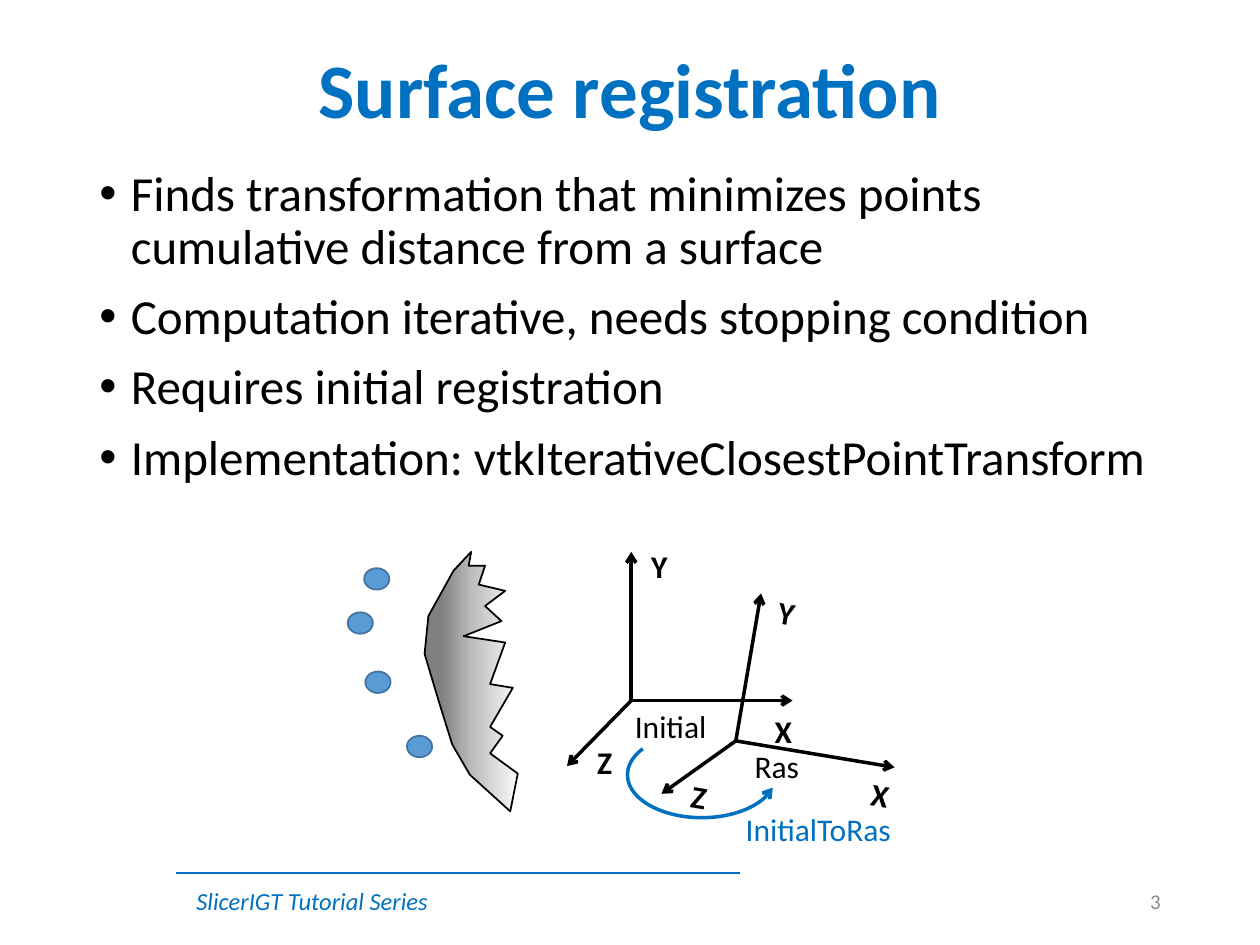
from copy import deepcopy

from pptx import Presentation
from pptx.dml.color import RGBColor
from pptx.enum.shapes import MSO_CONNECTOR as Connector, MSO_SHAPE as Shape
from pptx.enum.text import MSO_ANCHOR as Anchor, PP_ALIGN as Align
from pptx.oxml.ns import qn
from pptx.oxml.xmlchemy import OxmlElement
from pptx.util import Inches, Pt

BLUE = "0070C0"
BLACK = "000000"
BULLETS = [
    "Finds transformation that minimizes points cumulative distance from a surface",
    "Computation iterative, needs stopping condition",
    "Requires initial registration",
    "Implementation: vtkIterativeClosestPointTransform",
]
POINTS = [(2.89, 4.51), (2.76, 4.86), (2.9, 5.33), (3.23, 5.84)]
SURFACE = [
    (3.6, 4.53), (3.4, 4.89), (3.37, 5.19), (3.49, 5.59), (3.59, 5.91),
    (3.73, 6.15), (4.05, 6.44), (4.11, 6.14), (3.89, 5.98), (3.99, 5.84),
    (3.89, 5.77), (4.07, 5.46), (3.89, 5.43), (4.01, 5.1), (3.68, 5.05),
    (3.98, 4.93), (3.85, 4.81), (4.01, 4.69), (3.8, 4.64), (3.85, 4.49),
    (3.72, 4.49), (3.74, 4.38),
]
SURFACE_STOPS = [(0, "F7FAFD"), (0.47, "BFBFBF"), (0.83, "808080"), (1, "808080")]
LABEL_WIDTHS = {"X": 0.34, "Y": 0.33, "Z": 0.32}
INITIAL_AXES = {
    "X": ((6.29, 5.56), (6.05, 5.6)),
    "Y": ((5.01, 4.38), (5.07, 4.29)),
    "Z": ((4.5, 6.08), (4.64, 5.85)),
}
RAS_AXES = {
    "X": ((7.1, 6.09), (6.82, 6.11)),
    "Y": ((6.04, 4.71), (6.08, 4.66)),
    "Z": ((5.25, 6.3), (5.39, 6.12)),
}


def color(value):
    return RGBColor.from_string(value)


def apply(target, values):
    for name, value in values.items():
        setattr(target, name, value)


def set_line(line, value, width):
    line.color.rgb = color(value)
    line.width = Pt(width)


def add_arrowhead(shape, end):
    arrow = OxmlElement(f"a:{end}")
    arrow.set("type", "arrow")
    shape.line._get_or_add_ln().append(arrow)


def add_bullet(para):
    properties = para._p.get_or_add_pPr()
    properties.set("marL", str(Inches(0.25)))
    properties.set("indent", str(Inches(-0.25)))
    for tag, name, value in [("a:buFont", "typeface", "Arial"), ("a:buChar", "char", "•")]:
        element = OxmlElement(tag)
        element.set(name, value)
        properties.append(element)


def add_text(page, at, lines, size, value=BLACK, wrap=False, anchor=Anchor.TOP,
             bullets=False, gap=0, para_format=None, **font_format):
    box = page.shapes.add_textbox(*map(Inches, at))
    frame = box.text_frame
    apply(frame, {"word_wrap": wrap, "vertical_anchor": anchor})
    for index, line in enumerate(lines):
        para = frame.add_paragraph() if index else frame.paragraphs[0]
        para.add_run().text = line
        if bullets:
            add_bullet(para)
        apply(para, para_format or {})
        if index and gap:
            para.space_before = Pt(gap)
        apply(para.runs[0].font, {"name": "Calibri", "size": Pt(size), **font_format})
        para.runs[0].font.color.rgb = color(value)
    return box


def add_line(page, start, end, value, width):
    line = page.shapes.add_connector(Connector.STRAIGHT, *map(Inches, start + end))
    set_line(line.line, value, width)
    line._element.spPr.append(OxmlElement("a:effectLst"))
    return line


def add_axes(page, origin, axes, rotation=0):
    for name, (tip, label_at) in axes.items():
        add_arrowhead(add_line(page, origin, tip, BLACK, 2), "tailEnd")
        label = add_text(page, (*label_at, LABEL_WIDTHS[name], 0.4), [name], 18, bold=True)
        label.rotation = rotation


def add_point(page, left, top):
    point = page.shapes.add_shape(Shape.OVAL, *map(Inches, (left, top, 0.2, 0.17)))
    point.shadow.inherit = False
    point.fill.solid()
    point.fill.fore_color.rgb = color("5B9BD5")
    set_line(point.line, "43739E", 1)


def add_transform_arc(page):
    arc = page.shapes.add_shape(Shape.ARC, *map(Inches, (4.98, 5.81, 1.18, 0.68)))
    arc.shadow.inherit = False
    arc.adjustments[0] = 6.08
    arc.adjustments[1] = 122.31
    arc.fill.background()
    set_line(arc.line, BLUE, 2)
    add_arrowhead(arc, "headEnd")


def add_surface(page):
    corners = [(Inches(x), Inches(y)) for x, y in SURFACE]
    builder = page.shapes.build_freeform(*corners[0])
    builder.add_line_segments(corners[1:], close=True)
    surface = builder.convert_to_shape()
    surface.shadow.inherit = False
    surface.fill.gradient()
    surface.fill.gradient_angle = 180
    stop_list = surface._element.spPr.find(f".//{qn('a:gsLst')}")
    while len(stop_list) < len(SURFACE_STOPS):
        stop_list.append(deepcopy(stop_list[0]))
    for stop, (position, value) in zip(surface.fill.gradient_stops, SURFACE_STOPS):
        stop.position = position
        stop.color.rgb = color(value)
    set_line(surface.line, BLACK, 1)


def main():
    deck = Presentation()
    apply(deck, {"slide_width": Inches(10), "slide_height": Inches(7.5)})
    page = deck.slides.add_slide(deck.slide_layouts[6])

    add_line(page, (1.4, 6.93), (5.87, 6.93), BLUE, 1.25)
    add_text(page, (1.46, 6.98, 2.06, 0.34), ["SlicerIGT Tutorial Series"], 14, BLUE,
             italic=True)
    add_text(page, (0.69, 0.4, 8.62, 0.69), ["Surface registration"], 44, BLUE, wrap=True,
             anchor=Anchor.MIDDLE, bold=True,
             para_format={"alignment": Align.CENTER, "line_spacing": 0.9})
    add_text(page, (0.69, 1.29, 8.62, 3.07), BULLETS, 28, wrap=True, bullets=True, gap=10,
             para_format={"line_spacing": 0.9})
    add_text(page, (7.06, 6.95, 2.25, 0.4), ["3"], 12, "8C8C8C", wrap=True,
             anchor=Anchor.MIDDLE, para_format={"alignment": Align.RIGHT})

    add_axes(page, (5.01, 5.56), INITIAL_AXES)
    add_axes(page, (5.84, 5.88), RAS_AXES, rotation=9.7)
    for left, top in POINTS:
        add_point(page, left, top)
    add_transform_arc(page)
    add_text(page, (4.94, 5.56, 0.78, 0.4), ["Initial"], 18)
    add_text(page, (5.89, 5.88, 0.56, 0.4), ["Ras"], 18)
    add_text(page, (5.82, 6.38, 1.37, 0.4), ["InitialToRas"], 18, BLUE)
    add_surface(page)

    deck.save("out.pptx")


if __name__ == "__main__":
    main()
